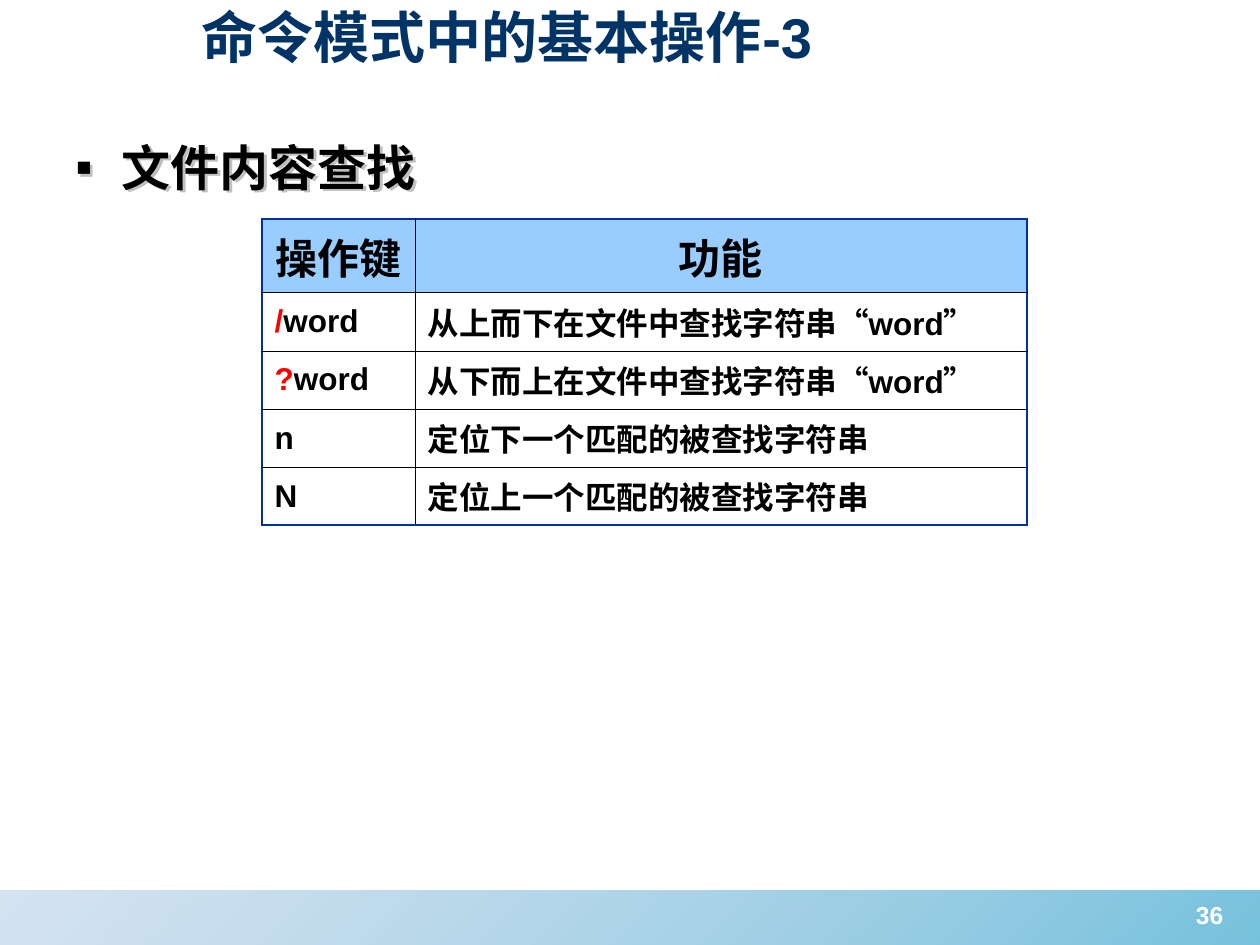
from lxml import etree
from pptx import Presentation
from pptx import util as u
from pptx.dml.color import RGBColor
from pptx.enum import lang, shapes, text
from pptx.oxml import ns

W, H = 10, 7.5
HUES = {"navy": "003366", "edge": "003399", "head": "99CCFF", "black": "000000",
        "red": "FF0000", "white": "FFFFFF", "teal": "1C99C6", "sky": "88B0D8",
        "shade": "C0C0C0"}
MID, LOW = text.MSO_ANCHOR.MIDDLE, text.MSO_ANCHOR.BOTTOM
LEFT, MIDST = text.PP_ALIGN.LEFT, text.PP_ALIGN.CENTER
HEADS = ["操作键", "功能"]
ROWS = [("/", "word", "从上而下在文件中查找字符串“word”"),
        ("?", "word", "从下而上在文件中查找字符串“word”"),
        ("", "n", "定位下一个匹配的被查找字符串"),
        ("", "N", "定位上一个匹配的被查找字符串")]


def rgb(name):
    return RGBColor.from_string(HUES[name])


def sub(node, tag, **attrs):
    return etree.SubElement(node, ns.qn("a:" + tag), attrs)


def place(part, box):
    for name, size in zip(("left", "top", "width", "height"), box):
        setattr(part, name, u.Inches(size))


def write(para, words, size, hue="black", align=LEFT):
    para.alignment = align
    run = para.add_run()
    run.text = words
    look = {"size": u.Pt(size), "name": "Arial", "bold": True,
            "language_id": lang.MSO_LANGUAGE_ID.SIMPLIFIED_CHINESE}
    for key, value in look.items():
        setattr(run.font, key, value)
    run.font.color.rgb = rgb(hue)


def add_text(slide, box):
    part = slide.shapes.add_textbox(*map(u.Inches, box))
    part.text_frame.word_wrap = True
    return part


def add_band(slide, box):
    band = slide.shapes.add_shape(shapes.MSO_SHAPE.RECTANGLE, *map(u.Inches, box))
    band.shadow.inherit = False
    band.line.fill.background()
    band.fill.gradient()
    band.fill.gradient_angle = 135
    for stop, hue in zip(band.fill.gradient_stops, ("teal", "sky")):
        stop.color.rgb = rgb(hue)
    for node, alpha in zip(band.element.spPr.iter(ns.qn("a:srgbClr")), (60, 35)):
        sub(node, "alpha", val=str(alpha * 1000))


def add_title(slide, box):
    title = slide.shapes.title
    place(title, box)
    title.text_frame.vertical_anchor = MID
    write(title.text_frame.paragraphs[0], "命令模式中的基本操作-3", 32, "navy")


def add_topic(slide, box):
    part = add_text(slide, box)
    para = part.text_frame.paragraphs[0]
    # Hanging square bullet
    props = para._p.get_or_add_pPr()
    indent = u.Inches(0.37)
    props.set("marL", str(indent))
    props.set("indent", str(-indent))
    sub(sub(props, "buClr"), "srgbClr", val=HUES["black"])
    sub(props, "buFont", typeface="Arial")
    sub(props, "buChar", char="▪")
    write(para, "文件内容查找", 28)
    # Grey shadow: an unfilled box casts it from its letters
    glow = sub(part.element.spPr, "effectLst")
    shade = sub(glow, "outerShdw", dist="25400", dir="2700000", algn="tl")
    sub(shade, "srgbClr", val=HUES["shade"])


def add_edges(cell, outer):
    props = cell._tc.get_or_add_tcPr()
    for side in "LRTB":
        hue, width = ("edge", 1.08) if side in outer else ("black", 0.45)
        line = sub(props, "ln" + side, w=str(u.Pt(width)))
        sub(sub(line, "solidFill"), "srgbClr", val=HUES[hue])


def add_keys(slide, box):
    count = len(ROWS) + 1
    grid = slide.shapes.add_table(count, 2, *map(u.Inches, box)).table
    for col, share in zip(grid.columns, (0.2, 0.8)):
        col.width = u.Inches(box[2] * share)
    for i, row in enumerate(grid.rows):
        row.height = u.Inches(box[3] * (0.19 if i else 0.24))
        for j, cell in enumerate(row.cells):
            outer = "LR"[j] + ("T" if i == 0 else "B" if i == count - 1 else "")
            add_edges(cell, outer)
            cell.vertical_anchor = MID if i and j == 0 else LOW
            para = cell.text_frame.paragraphs[0]
            if i == 0:
                cell.fill.solid()
                cell.fill.fore_color.rgb = rgb("head")
                write(para, HEADS[j], 24, align=MIDST)
                continue
            cell.fill.background()
            mark, key, use = ROWS[i - 1]
            if j == 0 and mark:
                write(para, mark, 18, "red")
            write(para, use if j else key, 18)


def add_page(slide, box):
    para = add_text(slide, box).text_frame.paragraphs[0]
    write(para, "36", 14, "white", MIDST)


def main():
    deck = Presentation()
    deck.slide_width, deck.slide_height = u.Inches(W), u.Inches(H)
    slide = deck.slides.add_slide(deck.slide_layouts[5])
    add_band(slide, (0, 7.07, W, H - 7.07))
    add_title(slide, (0.15 * W, -0.03, 8.07, 0.64))
    add_topic(slide, (0.05 * W, 1.04, 0.9 * W, 5.34))
    add_keys(slide, (2.08, 1.74, 6.07, 2.43))
    add_page(slide, (9.24, 7.09, 0.72, 0.4))
    deck.save("out.pptx")


if __name__ == "__main__":
    main()
